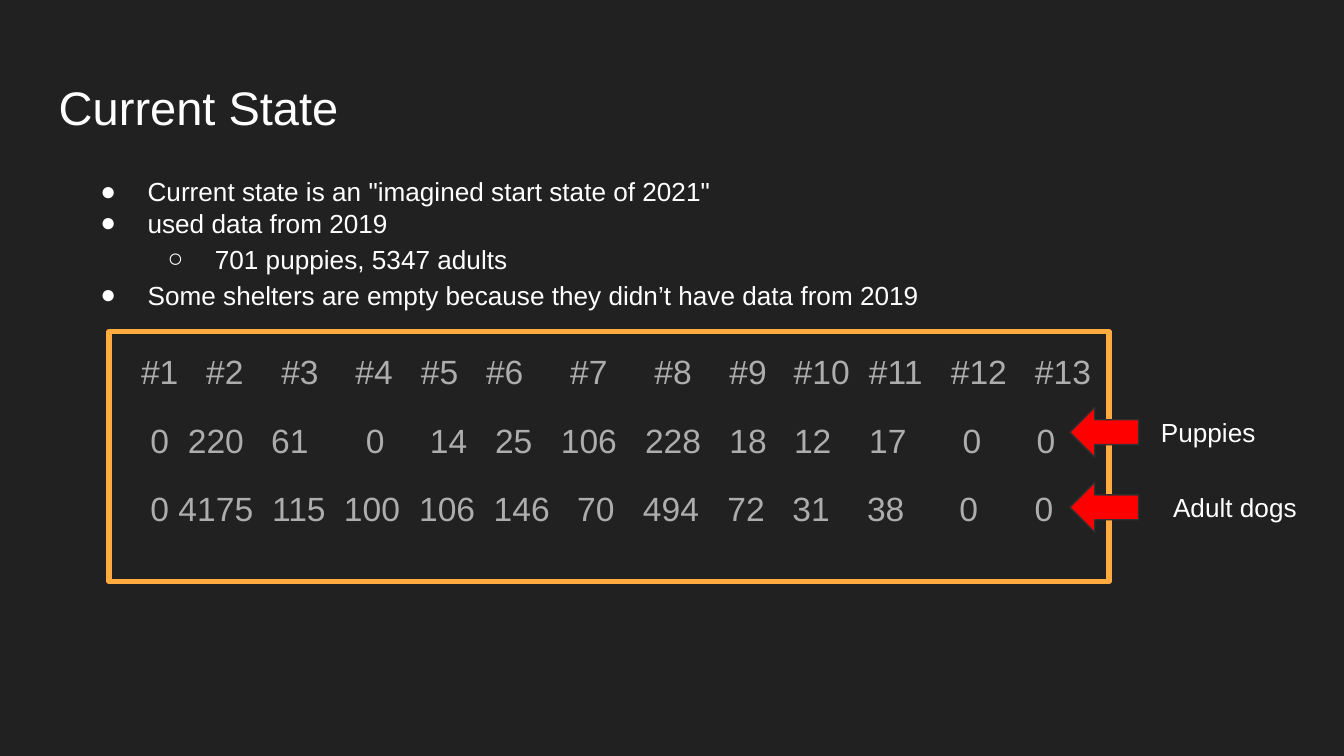
"""Build the Current State slide with shelter counts for puppies and adult dogs."""
from dataclasses import dataclass

import lxml.etree
import pptx
import pptx.dml.color
import pptx.enum.shapes
import pptx.enum.text
import pptx.oxml.ns
import pptx.util

Cm = pptx.util.Cm
Pt = pptx.util.Pt
qn = pptx.oxml.ns.qn
HUES = {"back": "212121", "text": "FFFFFF", "data": "ADADAD",
        "frame": "FFAB40", "arrow": "FF0000", "edge": "303030"}


@dataclass
class Item:
    text: str
    level: int = 0
    space: float = 1.0


@dataclass
class Row:
    cells: str
    stops: tuple


@dataclass
class Label:
    text: str
    left: float
    top: float
    width: float


ITEMS = [
    Item('Current state is an "imagined start state of 2021"'),
    Item("used data from 2019"),
    Item("701 puppies, 5347 adults", 1, 1.15),
    Item("Some shelters are empty because they didn’t have data from 2019", 0, 1.15),
]
ROWS = [
    Row("#1 #2 #3 #4 #5 #6 #7 #8 #9 #10 #11 #12 #13",
        (0.71, 1.94, 3.36, 4.76, 6, 7.23, 8.82, 10.41, 11.83, 13.22, 14.62, 16.19, 17.78)),
    Row("0 220 61 0 14 25 106 228 18 12 17 0 0",
        (0.71, 1.77, 3.17, 4.78, 6.17, 7.4, 8.82, 10.41, 11.83, 13.05, 14.47, 16.06, 17.46)),
    Row("0 4175 115 100 106 146 70 494 72 31 38 0 0",
        (0.71, 1.77, 3.34, 4.72, 6.14, 7.55, 8.95, 10.37, 11.79, 13.02, 14.43, 16, 17.42)),
]
LABELS = [Label("Puppies", 21.69, 7.62, 2.34), Label("Adult dogs", 21.92, 9.04, 3.3)]


def hue(name: str) -> pptx.dml.color.RGBColor:
    return pptx.dml.color.RGBColor.from_string(HUES[name])


def add(node, tag: str, **attrs: str):
    return lxml.etree.SubElement(node, qn(tag), attrs)


def style(para, size: float, color: str) -> None:
    para.alignment = pptx.enum.text.PP_ALIGN.LEFT
    para.font.name = "Arial"
    para.font.size = Pt(size)
    para.font.color.rgb = hue(color)


def setup(shape):
    frame = shape.text_frame
    frame.word_wrap = True
    frame.auto_size = pptx.enum.text.MSO_AUTO_SIZE.NONE
    frame.vertical_anchor = pptx.enum.text.MSO_ANCHOR.TOP
    frame.margin_left = frame.margin_right = Cm(0.25)
    frame.margin_top = frame.margin_bottom = Cm(0.25)
    return frame


def next_para(frame, index: int):
    return frame.add_paragraph() if index else frame.paragraphs[0]


def draw_title(slide) -> None:
    title = slide.shapes.title
    title.left, title.top, title.width, title.height = Cm(0.86), Cm(1.24), Cm(23.67), Cm(1.6)
    frame = setup(title)
    frame.text = "Current State"
    style(frame.paragraphs[0], 25.2, "text")


def draw_list(slide, items: list[Item]) -> None:
    frame = setup(slide.shapes.add_textbox(Cm(1.27), Cm(3.07), Cm(17.83), Cm(3)))
    for index, item in enumerate(items):
        para = next_para(frame, index)
        para.text, para.level = item.text, item.level
        props = para._p.get_or_add_pPr()
        props.set("marL", str(Cm(1.27 * (item.level + 1))))
        props.set("indent", str(Cm(-0.89)))
        add(add(props, "a:buClr"), "a:srgbClr", val=HUES["text"])
        add(props, "a:buFont", typeface="Arial")
        add(props, "a:buChar", char="●○"[item.level])
        para.line_spacing = item.space
        style(para, 14, "text")


def draw_data(slide, rows: list[Row]) -> None:
    box = slide.shapes.add_shape(pptx.enum.shapes.MSO_SHAPE.RECTANGLE,
                                 Cm(2.06), Cm(6.27), Cm(18.9), Cm(4.72))
    box.shadow.inherit = False
    box.fill.background()
    box.line.color.rgb = hue("frame")
    box.line.width = Pt(3)
    add(box.line._get_or_add_ln(), "a:round")
    frame = setup(box)
    for index, row in enumerate(rows):
        para = next_para(frame, index)
        para.text = "".join("\t" + cell for cell in row.cells.split())
        tabs = add(para._p.get_or_add_pPr(), "a:tabLst")
        for stop in row.stops:
            add(tabs, "a:tab", pos=str(Cm(stop)), algn="ctr")
        para.line_spacing = 1.15
        if index:
            para.space_before = Pt(12)
        style(para, 18, "data")


def draw_label(slide, label: Label) -> None:
    arrow = slide.shapes.add_shape(pptx.enum.shapes.MSO_SHAPE.LEFT_ARROW,
                                   Cm(20.22), Cm(label.top + 0.08), Cm(1.3), Cm(0.94))
    arrow.shadow.inherit = False
    arrow.fill.solid()
    arrow.fill.fore_color.rgb = hue("arrow")
    arrow.line.color.rgb = hue("edge")
    arrow.line.width = Pt(0.75)
    box = slide.shapes.add_textbox(Cm(label.left), Cm(label.top), Cm(label.width), Cm(1.12))
    frame = setup(box)
    frame.text = label.text
    style(frame.paragraphs[0], 14, "text")


def main() -> None:
    deck = pptx.Presentation()
    deck.slide_width, deck.slide_height = Cm(25.4), Cm(14.29)
    slide = deck.slides.add_slide(deck.slide_layouts[5])
    slide.background.fill.solid()
    slide.background.fill.fore_color.rgb = hue("back")
    draw_title(slide)
    draw_list(slide, ITEMS)
    draw_data(slide, ROWS)
    for label in LABELS:
        draw_label(slide, label)
    deck.save("out.pptx")


if __name__ == "__main__":
    main()
